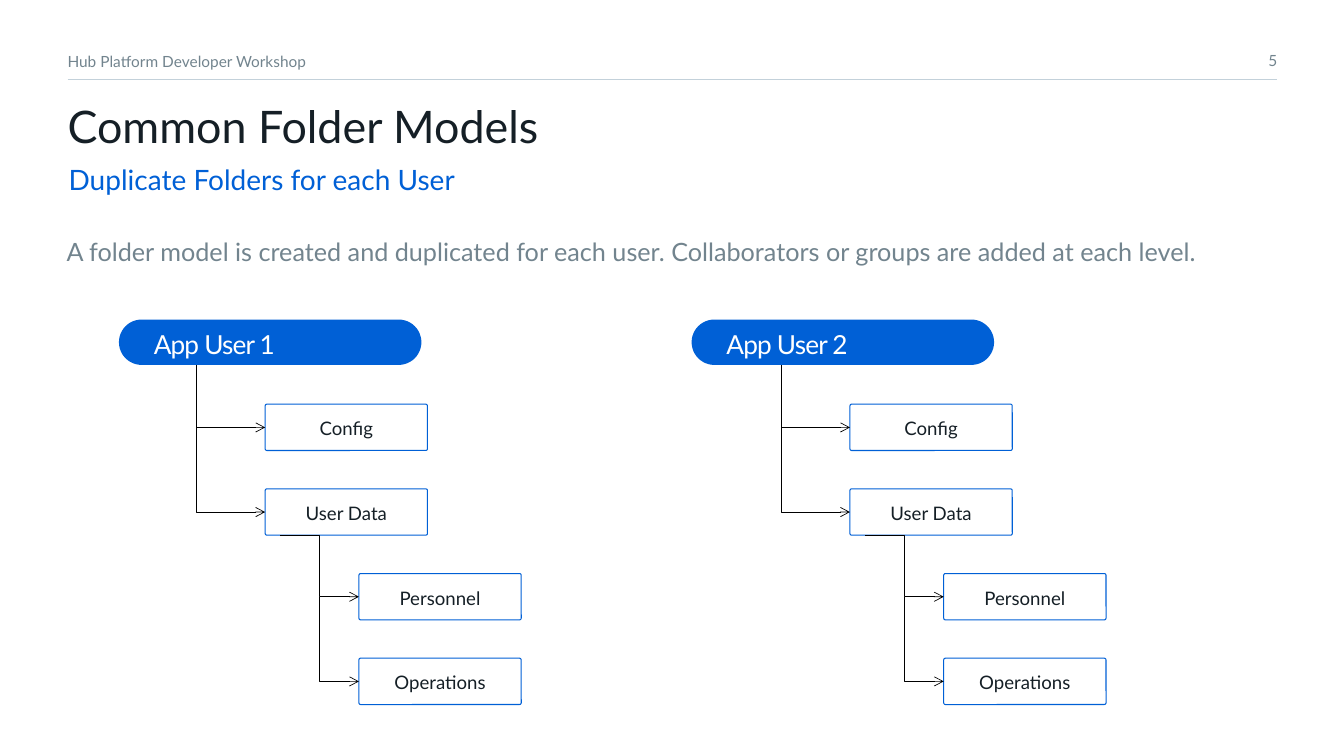
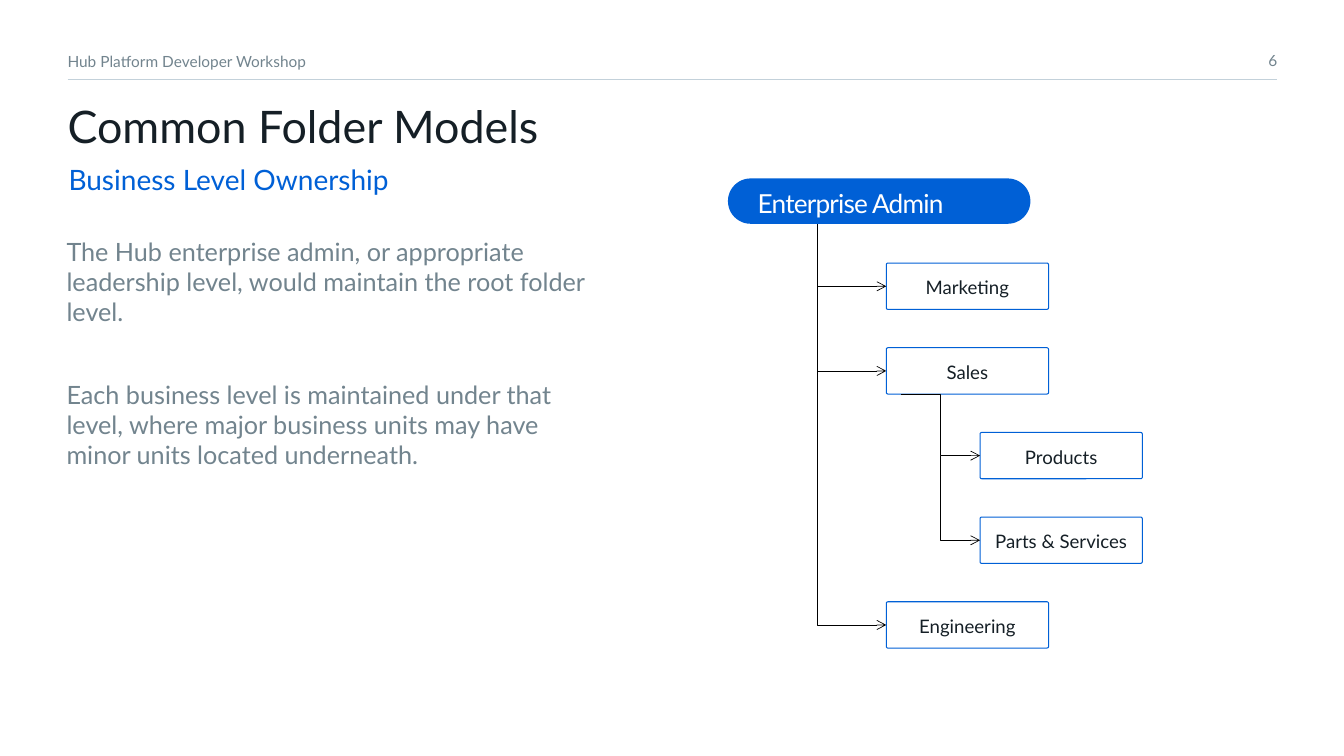
from pptx import Presentation
from pptx import util as u
from pptx.dml.color import RGBColor
from pptx.enum import shapes, text
from pptx.oxml import ns, xmlchemy

INK = RGBColor(0x15, 0x1F, 0x26)
GREY = RGBColor(0x72, 0x84, 0x8E)
RULE = RGBColor(0xC3, 0xD1, 0xDA)
BLUE = RGBColor(0x00, 0x60, 0xD6)
WHITE = RGBColor(0xFF, 0xFF, 0xFF)
BLACK = RGBColor(0x00, 0x00, 0x00)
FONT = "Lato"
HEADER = "Hub Platform Developer Workshop"
TITLE = "Common Folder Models"

# Tree measures, in inches
ROW_STEP = 0.84
PILL_SIZE = (3, 0.45)
FOLDER_SIZE = (1.61, 0.46)
TRUNK_GAP = 0.68
CHILD_INDENT = 0.93
CHILD_TRUNK_GAP = 0.39


def inches(*lengths):
    return [u.Inches(length) for length in lengths]


def write(box, lines, size, colour, align=text.PP_ALIGN.LEFT,
          anchor=text.MSO_ANCHOR.TOP, insets=None, spacing=1.0, after=0):
    """Fill a box with paragraphs in one style."""
    frame = box.text_frame
    frame.text = "\n".join(lines)
    frame.word_wrap = True
    frame.auto_size = text.MSO_AUTO_SIZE.NONE
    frame.vertical_anchor = anchor
    if insets:
        (frame.margin_left, frame.margin_top,
         frame.margin_right, frame.margin_bottom) = inches(*insets)
    for para in frame.paragraphs:
        para.alignment = align
        para.line_spacing = spacing
        para.space_before = u.Pt(0)
        para.space_after = u.Pt(after)
        for span in para.runs:
            span.font.name = FONT
            span.font.size = u.Pt(size)
            span.font.color.rgb = colour


def place(box, left, top, width, height):
    box.left, box.top, box.width, box.height = inches(left, top, width, height)


def write_body(box, area, lines, size, colour, after=8):
    """Use a body placeholder without bullets."""
    place(box, *area)
    write(box, lines, size, colour, insets=(0, 0.05, 0.25, 0.05), after=after)
    for para in box.text_frame.paragraphs:
        props = para._p.get_or_add_pPr()
        props.set("marL", "0")
        props.set("indent", "0")
        props.append(xmlchemy.OxmlElement("a:buNone"))


def style_line(connector, colour, arrow=False):
    connector.line.color.rgb = colour
    connector.line.width = u.Pt(0.5)
    props = connector._element.spPr
    if arrow:
        head = xmlchemy.OxmlElement("a:headEnd")
        head.set("type", "arrow")
        props.find(ns.qn("a:ln")).append(head)
    props.append(xmlchemy.OxmlElement("a:effectLst"))


def add_header(page, number):
    """Running header, page number and rule."""
    name = page.shapes.add_textbox(*inches(0.67, 0.45, 5.7, 0.27))
    write(name, [HEADER], 11, GREY, insets=(0, 0.05, 0.1, 0.05), spacing=1.1)
    count = page.shapes.add_textbox(*inches(7.15, 0.45, 5.52, 0.28))
    write(count, [str(number)], 11, GREY, text.PP_ALIGN.RIGHT,
          text.MSO_ANCHOR.MIDDLE, (0, 0, 0, 0), 1.1)
    rule = page.shapes.add_connector(
        shapes.MSO_CONNECTOR.STRAIGHT, *inches(0.67, 0.79, 12.67, 0.79))
    style_line(rule, RULE)


def add_page(deck, number, subtitle, lines, area, after=8):
    """Slide with header, title, subtitle and body text."""
    page = deck.slides.add_slide(deck.slide_layouts.get_by_name("Two Content"))
    add_header(page, number)
    title, heading, body = page.placeholders
    place(title, 0.67, 0.98, 12, 1.2)
    write(title, [TITLE], 32, INK, insets=(0, 0, 0, 0))
    write_body(heading, (0.68, 1.56, 12, 0.55), [subtitle], 20, BLUE)
    write_body(body, area, lines, 18, GREY, after)
    return page


def add_rounded(page, left, top, size, rounding):
    box = page.shapes.add_shape(
        shapes.MSO_SHAPE.ROUNDED_RECTANGLE, *inches(left, top, *size))
    box.adjustments[0] = rounding
    box.shadow.inherit = False
    return box


def add_owner(page, left, top, label, indent):
    """Blue pill at the root of a tree."""
    pill = add_rounded(page, left, top, PILL_SIZE, 0.5)
    pill.fill.solid()
    pill.fill.fore_color.rgb = BLUE
    pill.line.fill.background()
    write(pill, [label], 18.7, WHITE, insets=(indent, 0.06, 0.1, 0), spacing=0.9)
    for span in pill.text_frame.paragraphs[0].runs:
        span._r.get_or_add_rPr().set("spc", "-60")


def add_folder(page, left, top, label):
    folder = add_rounded(page, left, top, FOLDER_SIZE, 0.036)
    folder.fill.background()
    folder.line.color.rgb = BLUE
    folder.line.width = u.Pt(0.75)
    write(folder, [label], 13.3, INK, text.PP_ALIGN.CENTER,
          text.MSO_ANCHOR.MIDDLE, spacing=1.1)


def add_branch(page, left, top, right, bottom, preset="bentConnector2"):
    """Elbow that starts with an arrow at its lower right end."""
    branch = page.shapes.add_connector(
        shapes.MSO_CONNECTOR.ELBOW, *inches(left, top, right, bottom))
    props = branch._element.spPr
    props.find(ns.qn("a:xfrm")).set("rot", "10800000")
    props.find(ns.qn("a:prstGeom")).set("prst", preset)
    style_line(branch, BLACK, arrow=True)


def add_tree(page, left, top, folder_left, owner, indent, folders):
    """Owner pill with two levels of folders, one folder a row."""
    add_owner(page, left, top, owner, indent)
    half = FOLDER_SIZE[1] / 2
    child_left = folder_left + CHILD_INDENT
    child_trunk = child_left - CHILD_TRUNK_GAP
    row_top = top
    trunk_top = top + PILL_SIZE[1]
    for label, children in folders:
        row_top += ROW_STEP
        add_folder(page, folder_left, row_top, label)
        add_branch(page, folder_left - TRUNK_GAP, trunk_top,
                   folder_left, row_top + half)
        trunk_top = row_top + half
        child_top = row_top + FOLDER_SIZE[1]
        for index, child in enumerate(children):
            row_top += ROW_STEP
            add_folder(page, child_left, row_top, child)
            if index == 0:
                add_branch(page, child_trunk - CHILD_TRUNK_GAP, child_top,
                           child_left, row_top + half, "bentConnector3")
            else:
                add_branch(page, child_trunk, child_top,
                           child_left, row_top + half)
            child_top = row_top + half


def main():
    deck = Presentation()
    deck.slide_width, deck.slide_height = inches(13.33, 7.5)

    # Duplicate folders
    page = add_page(
        deck, 5, "Duplicate Folders for each User",
        ["A folder model is created and duplicated for each user. "
         "Collaborators or groups are added at each level."],
        (0.66, 2.29, 12.01, 0.99))
    user_folders = [("Config", []), ("User Data", ["Personnel", "Operations"])]
    for left, folder_left, owner in ((1.18, 2.63, "App User 1"),
                                     (6.86, 8.43, "App User 2")):
        add_tree(page, left, 3.17, folder_left, owner, 0.28, user_folders)

    # Business level ownership
    page = add_page(
        deck, 6, "Business Level Ownership",
        ["The Hub enterprise admin, or appropriate leadership level, "
         "would maintain the root folder level.",
         "Each business level is maintained under that level, where major "
         "business units may have minor units located underneath."],
        (0.66, 2.29, 5.53, 4.71), after=37.6)
    add_tree(page, 7.22, 1.77, 8.79, "Enterprise Admin", 0.23,
             [("Marketing", []), ("Sales", ["Products", "Parts & Services"]),
              ("Engineering", [])])

    deck.save("out.pptx")


if __name__ == "__main__":
    main()
